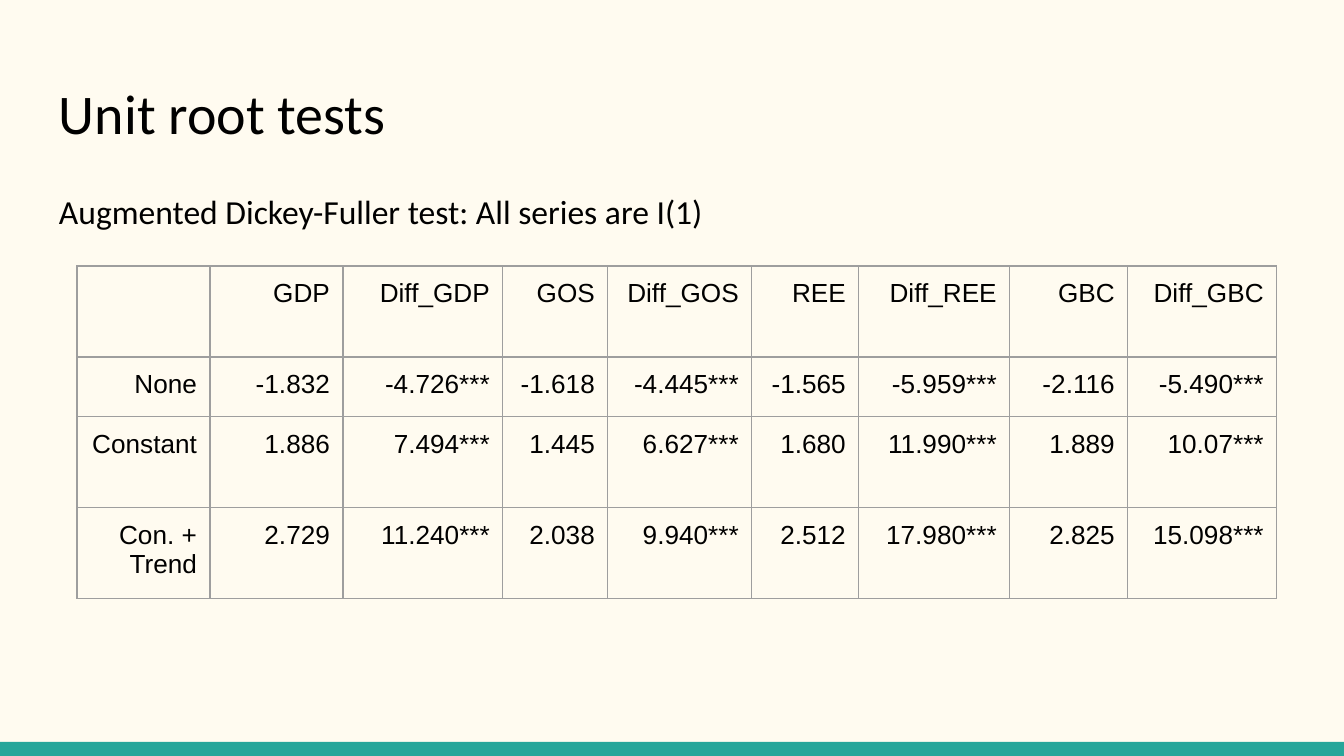
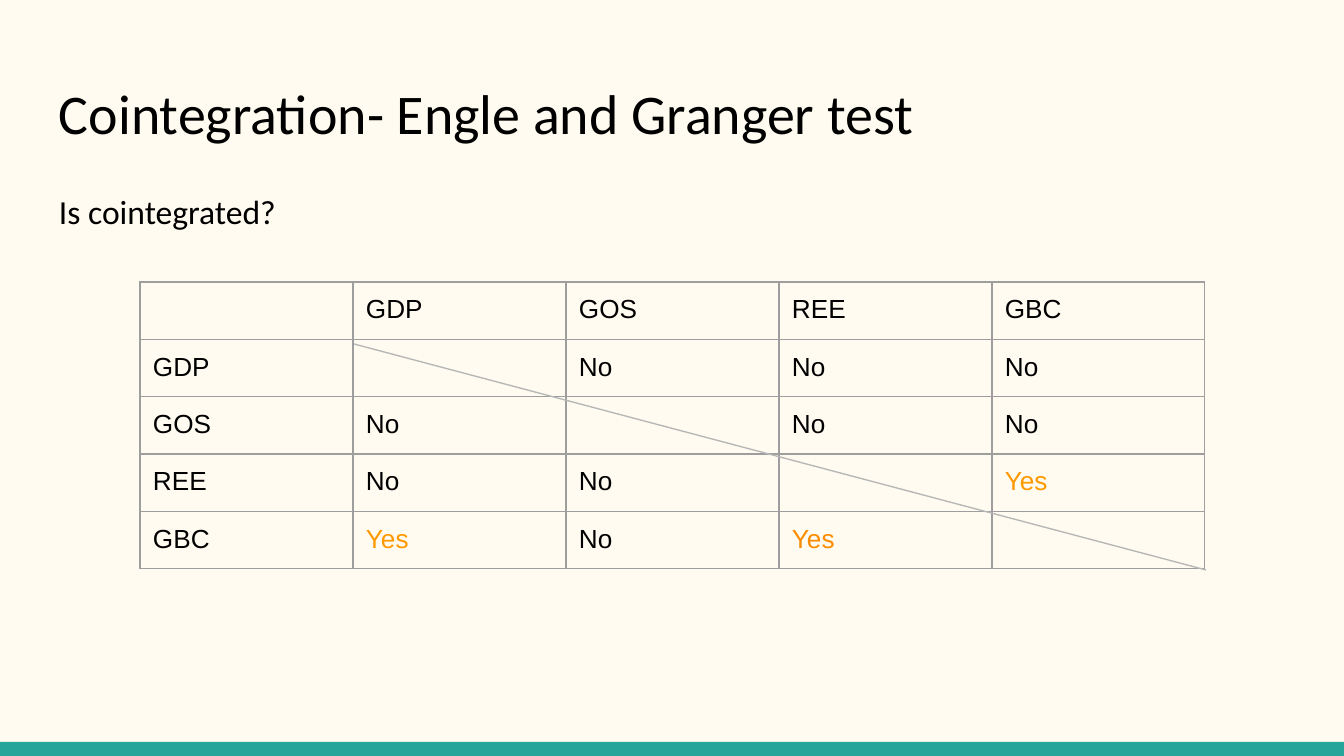
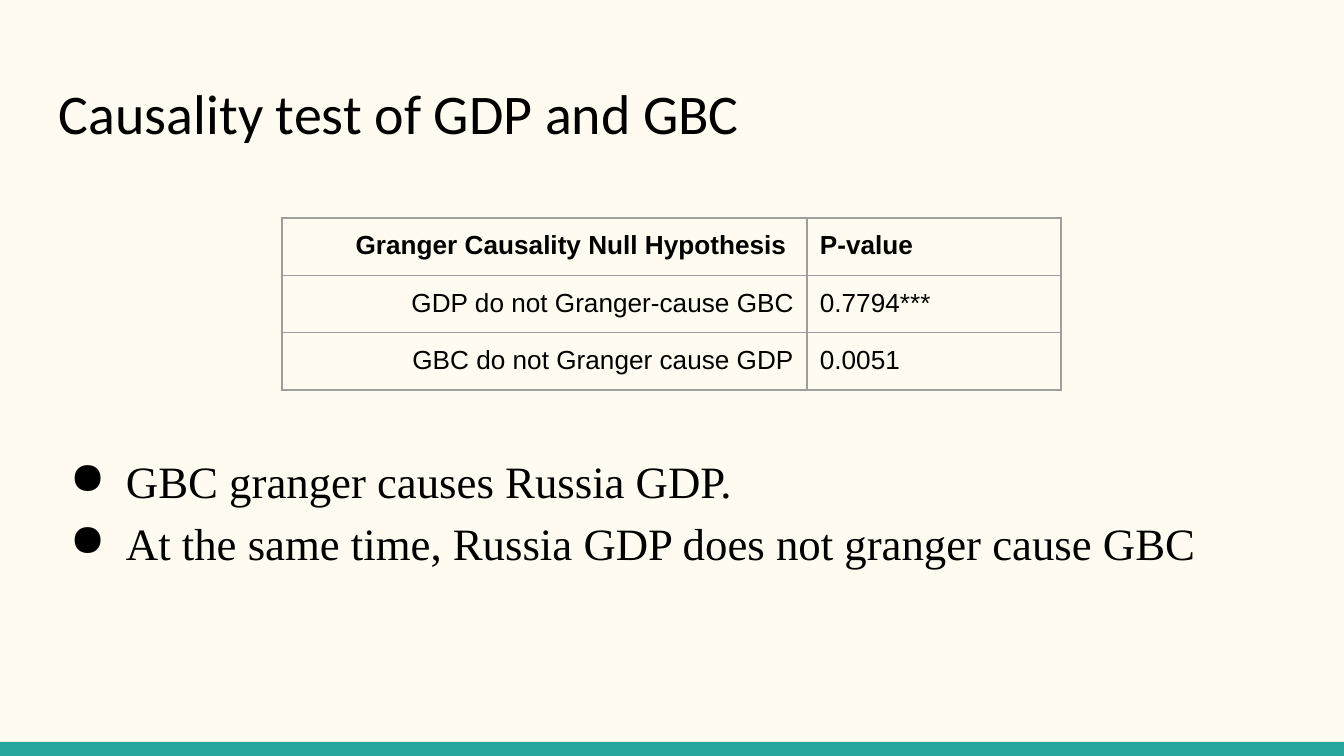
from dataclasses import dataclass

from lxml.etree import SubElement
from pptx import Presentation
from pptx.dml.color import RGBColor
from pptx.enum.shapes import MSO_CONNECTOR, MSO_SHAPE
from pptx.enum.text import PP_ALIGN
from pptx.oxml.ns import qn
from pptx.util import Emu, Pt


@dataclass(frozen=True)
class Theme:
    paper: str = "FFFBF0"
    band: str = "26A69A"
    ink: str = "000000"
    grid: str = "9E9E9E"
    diagonal: str = "B7B7B7"
    yes: str = "FF9900"
    yes_dark: str = "FB8C00"
    heading_font: str = "Calibri"
    table_font: str = "Arial"
    bullet_font: str = "Times New Roman"
    title_size: int = 30
    bullet_size: int = 24
    lead_size: int = 18
    table_size: int = 14
    hairline: float = 0.75


T = Theme()
PX = 914400 / 134.4
WIDTH, HEIGHT, BAND = 1344, 756, 14
LEFT, TEXT_WIDTH, INSET = 46, 1253, 13
RIGHT_AL, LEFT_AL = PP_ALIGN.RIGHT, PP_ALIGN.LEFT


def px(*lengths):
    return [Emu(round(n * PX)) for n in lengths]


def write(box, text, *, size, font, color=T.ink, bold=False, align=LEFT_AL,
          spacing=None, bullet=None):
    """Fill a text box or table cell, one paragraph for each line of text."""
    tf = box.text_frame
    tf.word_wrap = True
    inset = px(INSET)[0]
    # Table cells keep their margins on the cell itself.
    holder = tf if hasattr(box, "shape_type") else box
    holder.margin_left = holder.margin_right = inset
    holder.margin_top = holder.margin_bottom = inset
    for i, line in enumerate(text.split("\n")):
        p = tf.add_paragraph() if i else tf.paragraphs[0]
        p.alignment = align
        if spacing:
            p.line_spacing = spacing
        if bullet:
            pPr = p._p.get_or_add_pPr()
            pPr.set("marL", str(px(67)[0]))
            pPr.set("indent", str(px(-56)[0]))
            SubElement(SubElement(pPr, qn("a:buClr")), qn("a:srgbClr"), val=color)
            SubElement(pPr, qn("a:buChar"), char=bullet)
        r = p.add_run()
        r.text = line
        r.font.size, r.font.name, r.font.bold = Pt(size), font, bold
        r.font.color.rgb = RGBColor.from_string(color)


prs = Presentation()
prs.slide_width, prs.slide_height = px(WIDTH, HEIGHT)
paper = prs.slide_master.background.fill
paper.solid()
paper.fore_color.rgb = RGBColor.from_string(T.paper)

unit_root = dict(
    title="Unit root tests",
    body="Augmented Dickey-Fuller test: All series are I(1)",
    at=(77, 266),
    cols=[133, 133, 160, 105, 144, 107, 151, 118, 149],
    row_heights=[91, 60, 91, 91],
    aligns=[RIGHT_AL] * 9,
    rows=[
        ["", "GDP", "Diff_GDP", "GOS", "Diff_GOS", "REE", "Diff_REE", "GBC", "Diff_GBC"],
        ["None", "-1.832", "-4.726***", "-1.618", "-4.445***",
         "-1.565", "-5.959***", "-2.116", "-5.490***"],
        ["Constant", "1.886", "7.494***", "1.445", "6.627***",
         "1.680", "11.990***", "1.889", "10.07***"],
        ["Con. + Trend", "2.729", "11.240***", "2.038", "9.940***",
         "2.512", "17.980***", "2.825", "15.098***"],
    ],
)
cointegration = dict(
    title="Cointegration- Engle and Granger test",
    body="Is cointegrated?",
    at=(140, 282),
    cols=[213] * 5,
    row_heights=[56] * 5,
    aligns=[LEFT_AL] * 5,
    rows=[
        ["", "GDP", "GOS", "REE", "GBC"],
        ["GDP", "", "No", "No", "No"],
        ["GOS", "No", "", "No", "No"],
        ["REE", "No", "No", "", "Yes"],
        ["GBC", "Yes", "No", "Yes", ""],
    ],
    colors={(3, 4): T.yes, (4, 1): T.yes, (4, 3): T.yes_dark},
    diagonal=(354, 344, 1206, 570),
)
causality = dict(
    title="Causality test of GDP and GBC",
    body="GBC granger causes Russia GDP.\n"
         "At the same time, Russia GDP does not granger cause GBC",
    body_top=433,
    body_format=dict(size=T.bullet_size, font=T.bullet_font, bullet="●"),
    at=(282, 218),
    cols=[525, 254],
    row_heights=[56] * 3,
    aligns=[RIGHT_AL, LEFT_AL],
    bold_header=True,
    rows=[
        ["Granger Causality Null Hypothesis ", "P-value"],
        ["GDP do not Granger-cause GBC", "0.7794***"],
        ["GBC do not Granger cause GDP", "0.0051"],
    ],
)

for page in (unit_root, cointegration, causality):
    s = prs.slides.add_slide(prs.slide_layouts[6])

    band = s.shapes.add_shape(MSO_SHAPE.RECTANGLE, *px(0, HEIGHT - BAND, WIDTH, BAND))
    band.shadow.inherit = False
    band.fill.solid()
    band.fill.fore_color.rgb = RGBColor.from_string(T.band)
    band.line.fill.background()

    title = s.shapes.add_textbox(*px(LEFT, 66, TEXT_WIDTH, 90))
    write(title, page["title"], size=T.title_size, font=T.heading_font)

    body_top = page.get("body_top", 172)
    body = s.shapes.add_textbox(*px(LEFT, body_top, TEXT_WIDTH, 672 - body_top))
    body_format = page.get("body_format", dict(size=T.lead_size, font=T.heading_font))
    write(body, page["body"], spacing=1.15, **body_format)

    rows, cols, heights = page["rows"], page["cols"], page["row_heights"]
    table = s.shapes.add_table(
        len(rows), len(cols), *px(*page["at"], sum(cols), sum(heights))).table
    table.first_row = table.horz_banding = False
    for column, width in zip(table.columns, px(*cols)):
        column.width = width
    for row, height in zip(table.rows, px(*heights)):
        row.height = height
    for i, values in enumerate(rows):
        for j, value in enumerate(values):
            cell = table.cell(i, j)
            if value:
                write(cell, value, size=T.table_size, font=T.table_font,
                      color=page.get("colors", {}).get((i, j), T.ink),
                      bold=i == 0 and page.get("bold_header", False),
                      align=page["aligns"][j])
            tcPr = cell._tc.get_or_add_tcPr()
            for side in ("lnL", "lnR", "lnT", "lnB"):
                ln = SubElement(tcPr, qn(f"a:{side}"), w=str(Pt(T.hairline)))
                SubElement(SubElement(ln, qn("a:solidFill")), qn("a:srgbClr"), val=T.grid)
            cell.fill.background()

    if "diagonal" in page:
        line = s.shapes.add_connector(MSO_CONNECTOR.STRAIGHT, *px(*page["diagonal"]))
        line.line.color.rgb = RGBColor.from_string(T.diagonal)
        line.line.width = Pt(T.hairline)
        SubElement(line._element.spPr, qn("a:effectLst"))

prs.save("out.pptx")
